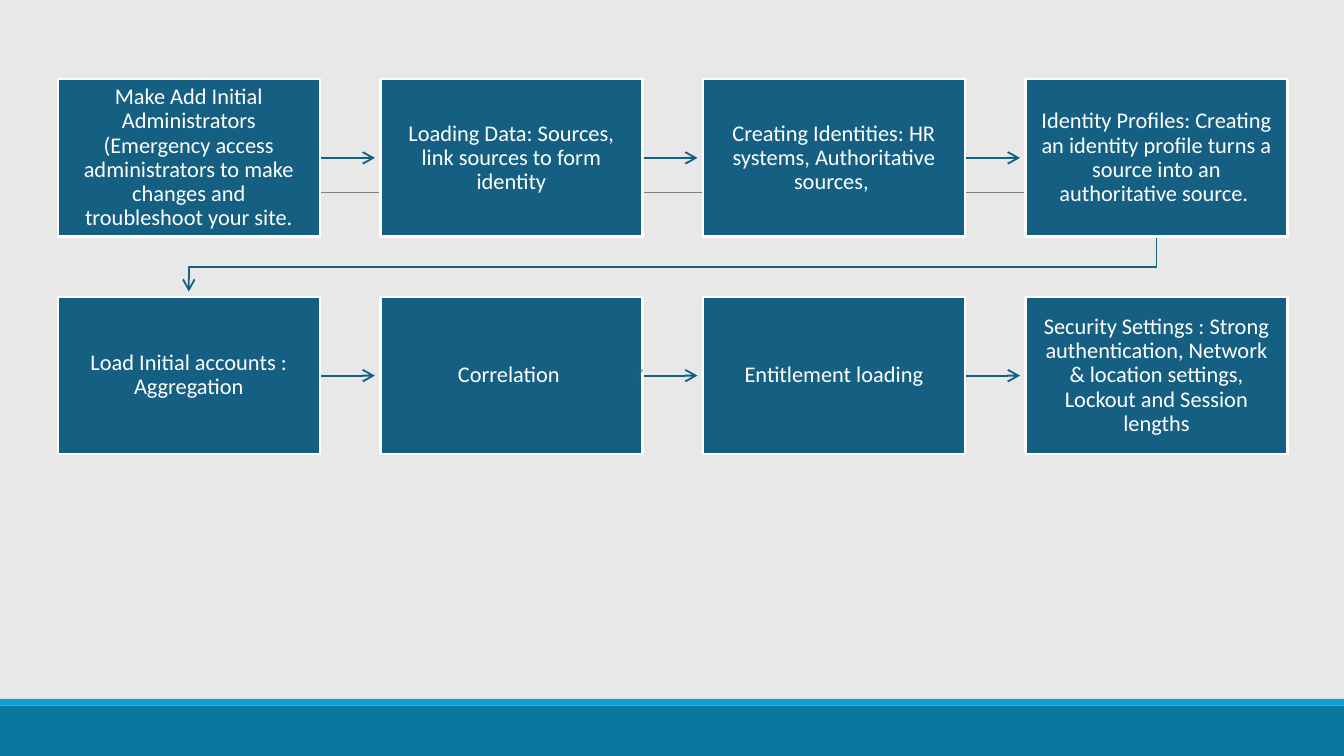
from lxml.etree import SubElement
from pptx import Presentation
from pptx.dml.color import RGBColor
from pptx.enum.shapes import MSO_CONNECTOR, MSO_SHAPE
from pptx.enum.text import MSO_ANCHOR, PP_ALIGN
from pptx.oxml.ns import qn
from pptx.util import Inches, Pt

COLORS = {
    "background": "E8E8E8", "box": "156082", "white": "FFFFFF",
    "footer": "0B76A0", "stripe": "0F9ED5", "rule": "808080", "note": "555555",
}
STEPS = [
    ["Make Add Initial Administrators (Emergency access administrators to make "
     "changes and troubleshoot your site.",
     "Loading Data: Sources, link sources to form identity",
     "Creating Identities: HR systems, Authoritative sources, ",
     "Identity Profiles: Creating an identity profile turns a source into an "
     "authoritative source. "],
    ["Load Initial accounts : Aggregation",
     "Correlation ",
     "Entitlement loading",
     "Security Settings : Strong authentication, Network & location settings, "
     "Lockout and Session lengths"],
]
NOTE = "erved."

WIDTH = 10
HEIGHT = WIDTH * 9 / 16
LEFT, TOP = 0.43, 0.59
BOX_W, BOX_H = 1.95, 1.17
COL_STEP, ROW_STEP = 2.4, 1.62
ARROW_GAP = 0.04  # space between an arrowhead and the next box


def rgb(name):
    return RGBColor.from_string(COLORS[name])


def style_line(s, color, width, arrow=False):
    s.line.color.rgb = rgb(color)
    s.line.width = Pt(width)
    sp_pr = s._element.spPr
    if arrow:
        SubElement(sp_pr.find(qn("a:ln")), qn("a:tailEnd"), type="arrow")
    if sp_pr.find(qn("a:effectLst")) is None:
        SubElement(sp_pr, qn("a:effectLst"))


def add_line(x1, y1, x2, y2, color, width, arrow=False):
    s = slide.shapes.add_connector(
        MSO_CONNECTOR.STRAIGHT, Inches(x1), Inches(y1), Inches(x2), Inches(y2))
    style_line(s, color, width, arrow)


def add_rect(x, y, w, h, fill, border=None):
    s = slide.shapes.add_shape(
        MSO_SHAPE.RECTANGLE, Inches(x), Inches(y), Inches(w), Inches(h))
    s.shadow.inherit = False
    s.fill.solid()
    s.fill.fore_color.rgb = rgb(fill)
    if border:
        style_line(s, border, 1.25)
    else:
        s.line.fill.background()
    return s


def set_text(s, text, size=12, font="Calibri", color="white", inset=0.1,
             align=PP_ALIGN.CENTER, anchor=MSO_ANCHOR.MIDDLE, spacing=0.9, wrap=True):
    tf = s.text_frame
    tf.word_wrap = wrap
    tf.vertical_anchor = anchor
    tf.margin_left = tf.margin_right = Inches(inset)
    tf.margin_top = tf.margin_bottom = Inches(inset)
    p = tf.paragraphs[0]
    p.alignment = align
    p.line_spacing = spacing
    r = p.add_run()
    r.text = text
    r.font.size = Pt(size)
    r.font.name = font
    r.font.color.rgb = rgb(color)


def box_origin(row, col):
    return LEFT + col * COL_STEP, TOP + row * ROW_STEP


def add_row_turn(row, last_col):
    """Bent arrow from the last box of a row to the first box of the next."""
    x1, y1 = box_origin(row, last_col)
    x2, y2 = box_origin(row + 1, 0)
    start, end = x1 + BOX_W / 2, x2 + BOX_W / 2
    y1 += BOX_H
    middle = (y1 + y2) / 2
    points = [(start, middle), (end, middle), (end, y2 - ARROW_GAP)]
    turn = slide.shapes.build_freeform(Inches(start), Inches(y1))
    turn.add_line_segments([(Inches(x), Inches(y)) for x, y in points], close=False)
    s = turn.convert_to_shape()
    s.fill.background()
    style_line(s, "box", 1, arrow=True)


prs = Presentation()
prs.slide_width, prs.slide_height = Inches(WIDTH), Inches(HEIGHT)
slide = prs.slides.add_slide(prs.slide_layouts[6])
slide.background.fill.solid()
slide.background.fill.fore_color.rgb = rgb("background")

add_rect(0, 5.25, WIDTH, HEIGHT - 5.25, "footer")
add_rect(0, 5.2, WIDTH, 0.05, "stripe")
add_line(0.98, 1.43, 9.15, 1.43, "rule", 0.5)

for row, steps in enumerate(STEPS):
    last_col = len(steps) - 1
    for col, step in enumerate(steps):
        x, y = box_origin(row, col)
        if col < last_col:
            add_line(x + BOX_W, y + BOX_H / 2, x + COL_STEP - ARROW_GAP,
                     y + BOX_H / 2, "box", 1, arrow=True)
        elif row < len(STEPS) - 1:
            add_row_turn(row, last_col)
        set_text(add_rect(x, y, BOX_W, BOX_H, "box", "white"), step)

note = slide.shapes.add_textbox(Inches(4.7), Inches(2.73), Inches(0.11), Inches(0.05))
set_text(note, NOTE, size=2.5, font="DejaVu Sans", color="note", inset=0.01,
         align=PP_ALIGN.LEFT, anchor=MSO_ANCHOR.TOP, spacing=1.0, wrap=False)

prs.save("out.pptx")
